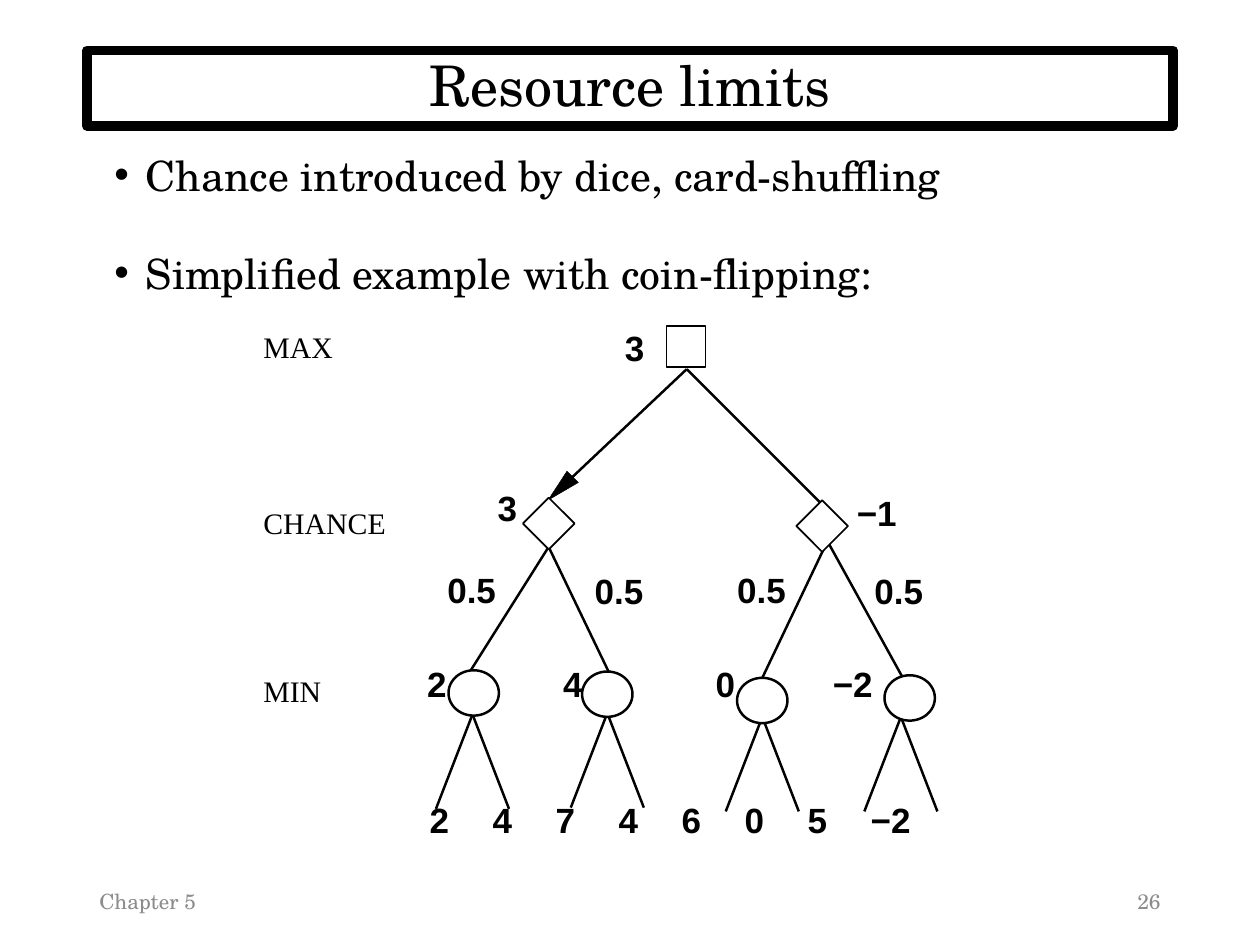
from lxml import etree
from pptx import Presentation
from pptx import util as u
from pptx.dml import color
from pptx.enum import shapes, text
from pptx.oxml import ns

BLACK = color.RGBColor(0x00, 0x00, 0x00)
WHITE = color.RGBColor(0xFF, 0xFF, 0xFF)
GRAY = color.RGBColor(0x8C, 0x8C, 0x8C)

SERIF = "TeX Gyre Schola"
TITLE = {"name": SERIF, "size": u.Pt(32)}
BODY = {"name": SERIF, "size": u.Pt(23.8)}
FOOTER = {"name": SERIF, "size": u.Pt(12)}
LEVEL = {"name": "Times New Roman", "size": u.Pt(17)}
VALUE = {"name": "Arial", "size": u.Pt(20), "bold": True}
TIGHT = {"margin_left": 0, "margin_right": 0, "margin_top": u.Inches(0.01), "margin_bottom": 0}
MIDDLE = {"vertical_anchor": text.MSO_ANCHOR.MIDDLE}
TREE_LINE = 1.43


def apply(target, values):
    for name, value in values.items():
        setattr(target, name, value)


class TreeSlide:
    def __init__(self, slide):
        self.slide = slide

    def text(self, box, lines, font, frame=None, paragraph_format=None, ink=BLACK):
        shape = self.slide.shapes.add_textbox(*map(u.Inches, box))
        apply(shape.text_frame, {"word_wrap": True, **(frame or {})})
        for index, line in enumerate(lines):
            paragraph = shape.text_frame.paragraphs[0] if index == 0 else shape.text_frame.add_paragraph()
            apply(paragraph, paragraph_format or {})
            run = paragraph.add_run()
            run.text = line
            apply(run.font, font)
            run.font.color.rgb = ink
        return shape

    def properties(self, paragraph, left, indent):
        properties = paragraph._p.get_or_add_pPr()
        properties.set("marL", str(u.Inches(left)))
        properties.set("indent", str(u.Inches(indent)))
        return properties

    def bullets(self, box, lines, gap):
        shape = self.text(box, lines, BODY, paragraph_format={"line_spacing": 0.7})
        for index, paragraph in enumerate(shape.text_frame.paragraphs):
            properties = self.properties(paragraph, 0.25, -0.25)
            font = etree.SubElement(properties, ns.qn("a:buFont"))
            font.set("typeface", "Arial")
            etree.SubElement(properties, ns.qn("a:buChar")).set("char", "•")
            if index:
                paragraph.space_before = u.Pt(gap)

    def label(self, left, top, width, words, font=VALUE, stops=()):
        shape = self.text((left, top, width, 0.36), [words], font, TIGHT)
        properties = self.properties(shape.text_frame.paragraphs[0], 0.01, 0)
        if stops:
            tabs = etree.SubElement(properties, ns.qn("a:tabLst"))
            for stop in stops:
                tab = etree.SubElement(tabs, ns.qn("a:tab"))
                tab.set("pos", str(u.Inches(stop)))
                tab.set("algn", "l")

    def outline(self, shape, fill, width):
        shape.shadow.inherit = False
        shape.fill.solid()
        shape.fill.fore_color.rgb = fill
        apply(shape.line, {"width": u.Pt(width)})
        shape.line.color.rgb = BLACK

    def node(self, kind, box, width=1):
        shape = self.slide.shapes.add_shape(kind, *map(u.Inches, box))
        self.outline(shape, WHITE, width)

    def edge(self, start, end):
        ends = map(u.Inches, (*start, *end))
        line = self.slide.shapes.add_connector(shapes.MSO_CONNECTOR.STRAIGHT, *ends)
        line.line.width = u.Pt(TREE_LINE)
        line.line.color.rgb = BLACK
        etree.SubElement(line._element.spPr, ns.qn("a:effectLst"))

    def arrowhead(self, points):
        corners = [(u.Inches(x), u.Inches(y)) for x, y in points]
        builder = self.slide.shapes.build_freeform(*corners[0])
        builder.add_line_segments(corners[1:], close=True)
        shape = builder.convert_to_shape()
        self.outline(shape, BLACK, 0.25)


def main():
    presentation = Presentation()
    apply(presentation, {"slide_width": u.Inches(10), "slide_height": u.Inches(7.5)})
    tree = TreeSlide(presentation.slides.add_slide(presentation.slide_layouts[6]))

    tree.text((0.69, 6.95, 2.25, 0.4), ["Chapter 5"], FOOTER, MIDDLE, ink=GRAY)
    tree.text((7.06, 6.95, 2.25, 0.4), ["26"], FOOTER, MIDDLE,
              {"alignment": text.PP_ALIGN.RIGHT}, GRAY)
    title = tree.text((0.69, 0.4, 8.62, 0.6), ["Resource limits"], TITLE, MIDDLE,
                      {"alignment": text.PP_ALIGN.CENTER, "line_spacing": 0.9})
    title.line.width = u.Pt(5.5)
    title.line.color.rgb = BLACK
    tree.bullets((0.81, 1.25, 8.62, 1.23),
                 ["Chance introduced by dice, card-shuffling",
                  "Simplified example with coin-flipping:"], gap=36)

    for top, name in ((2.6, "MAX"), (4, "CHANCE"), (5.33, "MIN")):
        tree.label(2.08, top, 1.01, name, LEVEL)

    root = (5.45, 2.93)
    for start, end in ((root, (4.38, 3.94)), (root, (6.54, 4.02)),
                       ((4.38, 4.3), (3.73, 5.33)), ((4.33, 4.29), (4.83, 5.33)),
                       ((6.56, 4.31), (6.05, 5.38)), ((6.57, 4.3), (7.16, 5.37))):
        tree.edge(start, end)
    tree.arrowhead([(4.35, 3.97), (4.59, 3.83), (4.5, 3.74)])

    for x, y in ((3.75, 5.67), (4.82, 5.66), (6.05, 5.69), (7.15, 5.69)):
        for side in (-0.29, 0.29):
            tree.edge((x, y), (x + side, y + 0.75))

    for left, top in ((3.56, 5.32), (4.62, 5.33), (5.85, 5.38), (7.02, 5.36)):
        tree.node(shapes.MSO_SHAPE.OVAL, (left, top, 0.4, 0.36), TREE_LINE)
    tree.node(shapes.MSO_SHAPE.RECTANGLE, (5.29, 2.59, 0.31, 0.32))
    for left, top in ((4.15, 3.95), (6.32, 3.97)):
        tree.node(shapes.MSO_SHAPE.DIAMOND, (left, top, 0.41, 0.41))

    for left, top, value in ((4.95, 2.58, "3"), (3.94, 3.85, "3"), (6.79, 3.89, "−1"),
                             (3.38, 5.25, "2"), (4.46, 5.25, "4"),
                             (5.67, 5.25, "0"), (6.6, 5.25, "−2")):
        tree.label(left, top, 0.18 * len(value), value)
    for left, top in ((3.54, 4.5), (4.71, 4.51), (5.84, 4.5), (6.93, 4.51)):
        tree.label(left, top, 0.41, "0.5")
    leaves = ("2", "4", "7", "4", "6", "0", "5", "−2")
    tree.label(3.4, 6.33, 4.2, "\t".join(leaves),
               stops=(0.59, 1.09, 1.68, 2.3, 2.89, 3.39, 3.86))

    presentation.save("out.pptx")


if __name__ == "__main__":
    main()
